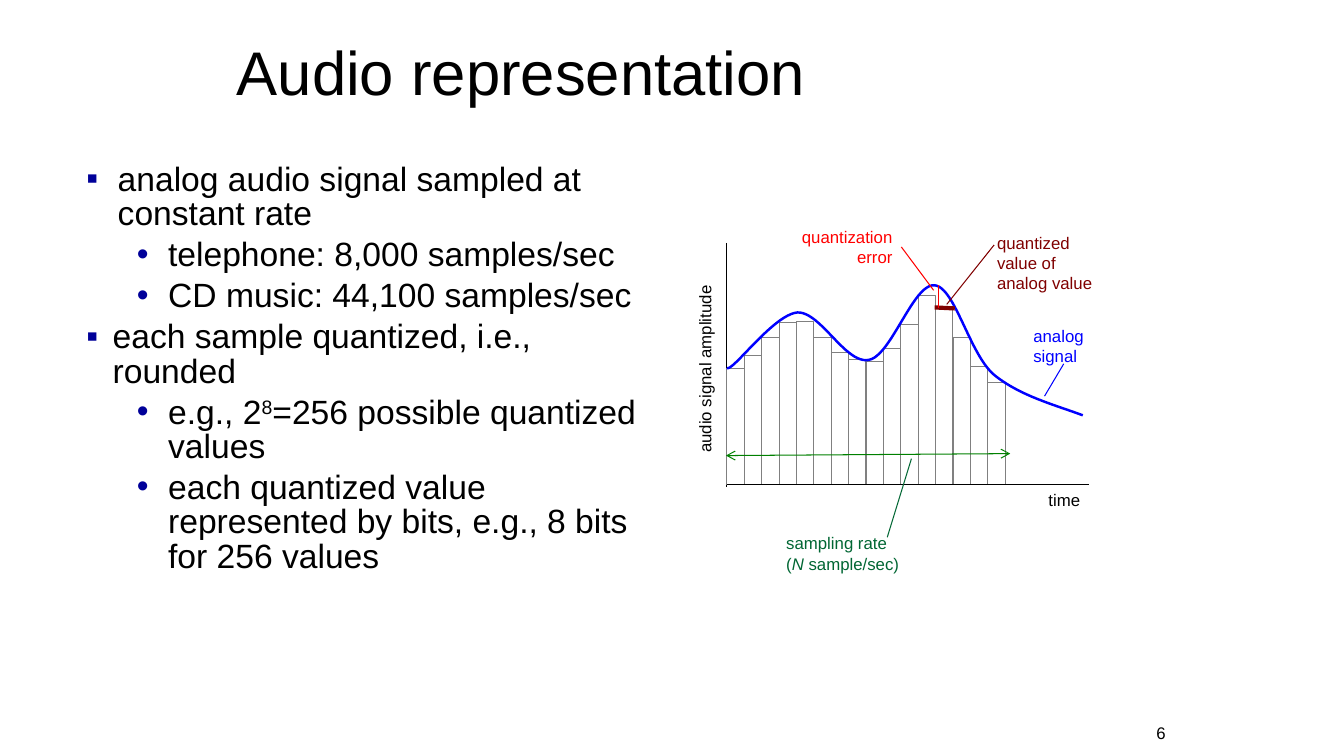
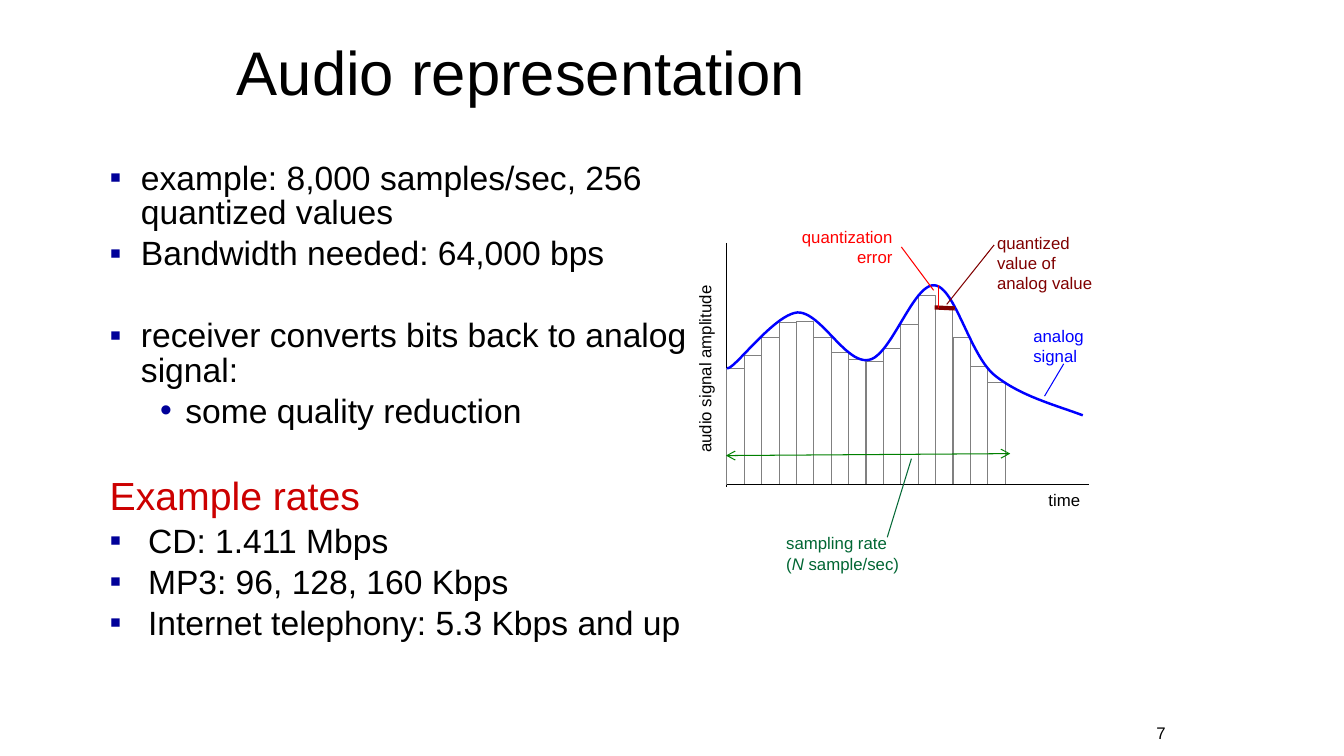
from lxml.etree import SubElement
from pptx import Presentation
from pptx.dml.color import RGBColor
from pptx.enum.shapes import MSO_CONNECTOR, MSO_SHAPE
from pptx.enum.text import MSO_ANCHOR, PP_ALIGN
from pptx.oxml.ns import qn
from pptx.util import Inches, Pt

COLORS = {
    "black": "000000", "bar": "808080", "bullet": "000099", "heading": "CC0000",
    "signal": "0000FF", "quantized": "800000", "error": "FF0000",
    "arrow": "008000", "rate": "006633",
}
FONT = "Arial"
BODY_SIZE = 24
BODY_GAP = 4.8
SKIP_GAP = 34.1

BAR_LEFT, BAR_STEP, BASELINE = 7.21, 0.1725, 4.81
BAR_TOPS = [3.66, 3.53, 3.35, 3.2, 3.19, 3.35, 3.5, 3.57,
            3.59, 3.46, 3.22, 2.93, 3.06, 3.35, 3.64, 3.79]
SIGNAL_START = (7.21, 3.65)
SIGNAL_CURVES = [
    ((7.26, 3.7), (7.67, 3.12), (7.91, 3.1)),
    ((8.14, 3.09), (8.39, 3.62), (8.62, 3.57)),
    ((8.84, 3.53), (9.06, 2.81), (9.27, 2.83)),
    ((9.47, 2.85), (9.61, 3.49), (9.85, 3.71)),
    ((10.1, 3.92), (10.44, 4.01), (10.74, 4.12)),
]


def color(name):
    return RGBColor.from_string(COLORS[name])


def bezier_points(start, curves, steps=24):
    points = [start]
    for c1, c2, end in curves:
        for i in range(1, steps + 1):
            t = i / steps
            u = 1 - t
            points.append(tuple(
                u**3 * a + 3 * u * u * t * b + 3 * u * t * t * c + t**3 * d
                for a, b, c, d in zip(start, c1, c2, end)))
        start = end
    return points


class Deck:
    def __init__(self):
        self.prs = Presentation()
        self.prs.slide_width = Inches(13.33)
        self.prs.slide_height = Inches(7.5)
        self.s = None

    def new_slide(self, title, number):
        self.s = self.prs.slides.add_slide(self.prs.slide_layouts[6])
        tf = self.text(2.25, 0.12, 6.16, 1.25, [title], size=44, anchor=MSO_ANCHOR.MIDDLE)
        tf.paragraphs[0].line_spacing = 0.9
        self.text(10.91, 7.12, 0.75, 0.3, [str(number)],
                  align=PP_ALIGN.RIGHT, anchor=MSO_ANCHOR.MIDDLE)

    def frame(self, x, y, w, h, wrap=True, anchor=MSO_ANCHOR.TOP, rotation=0):
        sp = self.s.shapes.add_textbox(Inches(x), Inches(y), Inches(w), Inches(h))
        sp.rotation = rotation
        tf = sp.text_frame
        tf.word_wrap = wrap
        tf.vertical_anchor = anchor
        return tf

    def runs(self, p, content, size, ink):
        for part in [content] if isinstance(content, str) else content:
            text, style = (part, "") if isinstance(part, str) else part
            r = p.add_run()
            r.text = text
            r.font.name = FONT
            r.font.size = Pt(size)
            r.font.color.rgb = color(ink)
            if style == "italic":
                r.font.italic = True
            elif style == "super":
                r._r.get_or_add_rPr().set("baseline", "30000")

    def paragraph(self, tf, index):
        return tf.add_paragraph() if index else tf.paragraphs[0]

    def text(self, x, y, w, h, lines, size=12, ink="black", align=PP_ALIGN.LEFT, **box):
        tf = self.frame(x, y, w, h, **box)
        for i, line in enumerate(lines):
            p = self.paragraph(tf, i)
            p.alignment = align
            self.runs(p, line, size, ink)
        return tf

    def body(self, x, y, w, h, items):
        tf = self.frame(x, y, w, h)
        for i, (mark, left, hang, content, gap) in enumerate(items):
            p = self.paragraph(tf, i)
            pPr = p._p.get_or_add_pPr()
            pPr.set("marL", str(Inches(left)))
            pPr.set("indent", str(-Inches(hang)))
            if mark:
                clr = SubElement(pPr, qn("a:buClr"))
                SubElement(clr, qn("a:srgbClr")).set("val", COLORS["bullet"])
                SubElement(pPr, qn("a:buFont")).set("typeface", FONT)
                SubElement(pPr, qn("a:buChar")).set("char", mark)
            p.level = 1 if mark == "•" else 0
            p.line_spacing = 0.85
            if i:
                p.space_before = Pt(gap)
            size, ink = (BODY_SIZE, "black") if mark else (28, "heading")
            self.runs(p, content, size, ink)

    def line(self, x1, y1, x2, y2, ink="black", width=0.75, arrows=False):
        c = self.s.shapes.add_connector(
            MSO_CONNECTOR.STRAIGHT, Inches(x1), Inches(y1), Inches(x2), Inches(y2))
        c.line.color.rgb = color(ink)
        c.line.width = Pt(width)
        if arrows:
            for end in ("a:headEnd", "a:tailEnd"):
                SubElement(c.line._get_or_add_ln(), qn(end)).set("type", "arrow")
        SubElement(c._element.spPr, qn("a:effectLst"))

    def outline(self, sp, ink, width):
        sp.shadow.inherit = False
        sp.fill.background()
        sp.line.color.rgb = color(ink)
        sp.line.width = Pt(width)

    def bar(self, x, top):
        sp = self.s.shapes.add_shape(
            MSO_SHAPE.RECTANGLE, Inches(x), Inches(top),
            Inches(BAR_STEP), Inches(BASELINE - top))
        self.outline(sp, "bar", 0.75)

    def curve(self, points, ink, width):
        points = [(Inches(x), Inches(y)) for x, y in points]
        fb = self.s.shapes.build_freeform(*points[0])
        fb.add_line_segments(points[1:], close=False)
        self.outline(fb.convert_to_shape(), ink, width)

    def sampling_diagram(self):
        self.line(7.21, 2.41, 7.21, 4.83)
        for i, top in enumerate(BAR_TOPS):
            self.bar(BAR_LEFT + i * BAR_STEP, top)
        self.line(7.21, BASELINE, 10.8, BASELINE)
        self.text(10.3, 4.81, 0.52, 0.3, ["time"], wrap=False)
        self.text(6.05, 3.5, 1.88, 0.3, ["audio signal amplitude"], wrap=False, rotation=270)

        self.text(10.15, 3.18, 0.71, 0.51, ["analog", "signal"], ink="signal", wrap=False)
        self.curve(bezier_points(SIGNAL_START, SIGNAL_CURVES), "signal", 1.75)
        self.line(10.55, 3.61, 10.36, 3.93, "signal")

        self.line(9.27, 3.05, 9.47, 3.06, "quantized", 3)
        self.text(9.79, 2.26, 1.28, 0.71, ["quantized value of", "analog value"], ink="quantized")
        self.line(9.86, 2.43, 9.39, 3.02, "quantized")

        self.text(7.74, 2.2, 1.21, 0.51, ["quantization error"], ink="error", align=PP_ALIGN.RIGHT)
        self.line(9.31, 2.83, 9.31, 3.06, "error", 1)
        self.line(8.94, 2.45, 9.26, 2.88, "error")

        self.line(7.2, 4.52, 10.02, 4.5, "arrow", arrows=True)
        self.text(7.7, 5.24, 1.87, 0.5,
                  ["sampling rate", ["(", ("N ", "italic"), "sample/sec)"]], ink="rate")
        self.line(8.8, 5.33, 9.04, 4.55, "rate")


def point(content, indent=0.31, gap=BODY_GAP):
    return "▪", indent, indent, content, gap


def sub(content, left=0.81, hang=0.31):
    return "•", left, hang, content, BODY_GAP


def heading(content):
    return None, 0.38, 0.38, content, SKIP_GAP + 0.8


SLIDES = [
    (6, (0.76, 1.58, 5.66, 5.08), [
        point("analog audio signal sampled at constant rate"),
        sub("telephone: 8,000 samples/sec"),
        sub("CD music: 44,100 samples/sec"),
        point("each sample quantized, i.e., rounded", 0.26),
        sub(["e.g., 2", ("8", "super"), "=256 possible quantized values"]),
        sub("each quantized value represented by bits, e.g., 8 bits for 256 values"),
    ]),
    (7, (0.99, 1.57, 6, 5.08), [
        point("example: 8,000 samples/sec, 256 quantized values"),
        point("Bandwidth needed: 64,000 bps"),
        point("receiver converts bits back to analog signal:", gap=SKIP_GAP),
        sub("some quality reduction", 0.75, 0.25),
        heading("Example rates"),
        point("CD: 1.411 Mbps", 0.38),
        point("MP3: 96, 128, 160 Kbps", 0.38),
        point("Internet telephony: 5.3 Kbps and up", 0.38),
    ]),
]


def main():
    deck = Deck()
    for number, box, items in SLIDES:
        deck.new_slide("Audio representation", number)
        deck.body(*box, items)
        deck.sampling_diagram()
    deck.prs.save("out.pptx")


if __name__ == "__main__":
    main()
